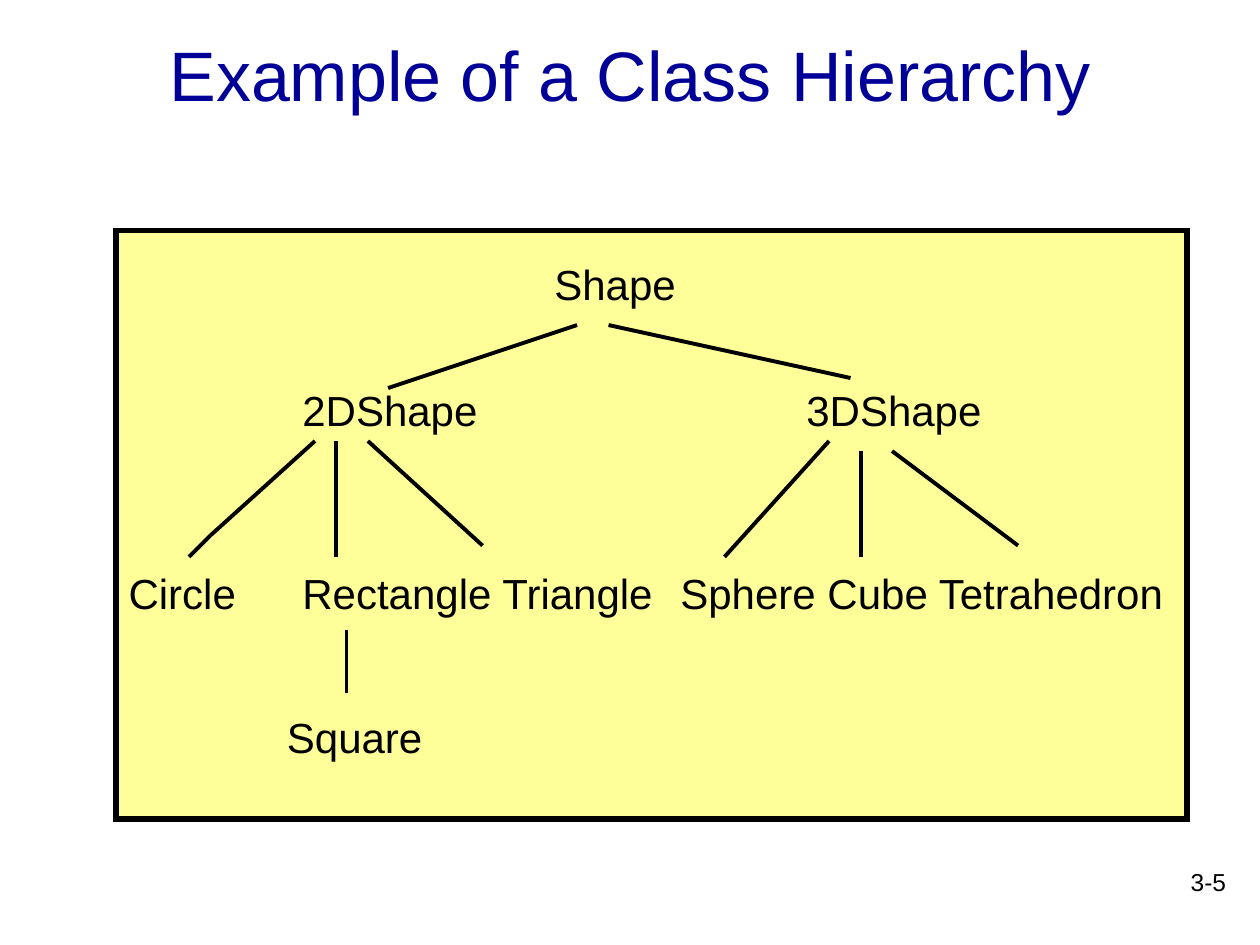
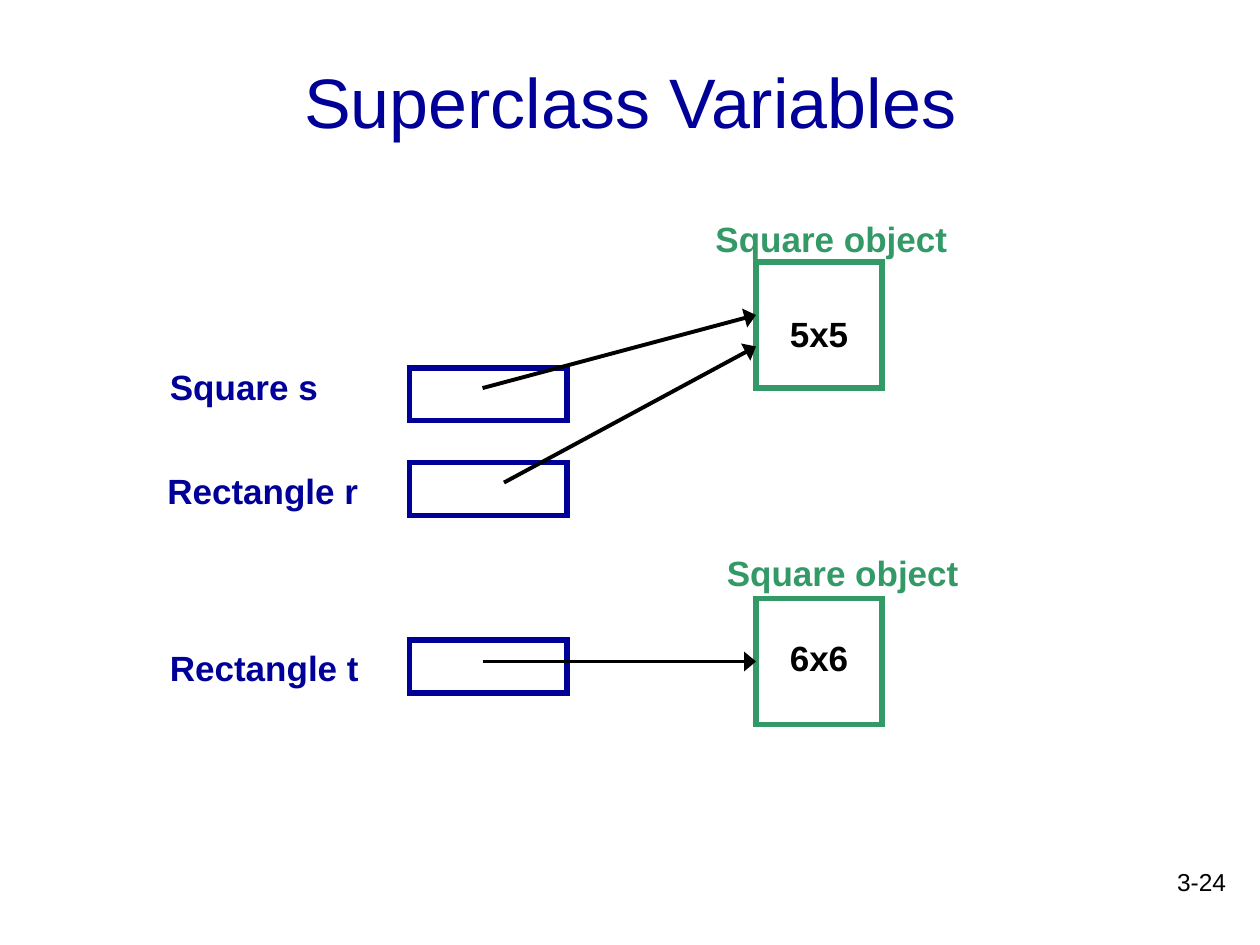
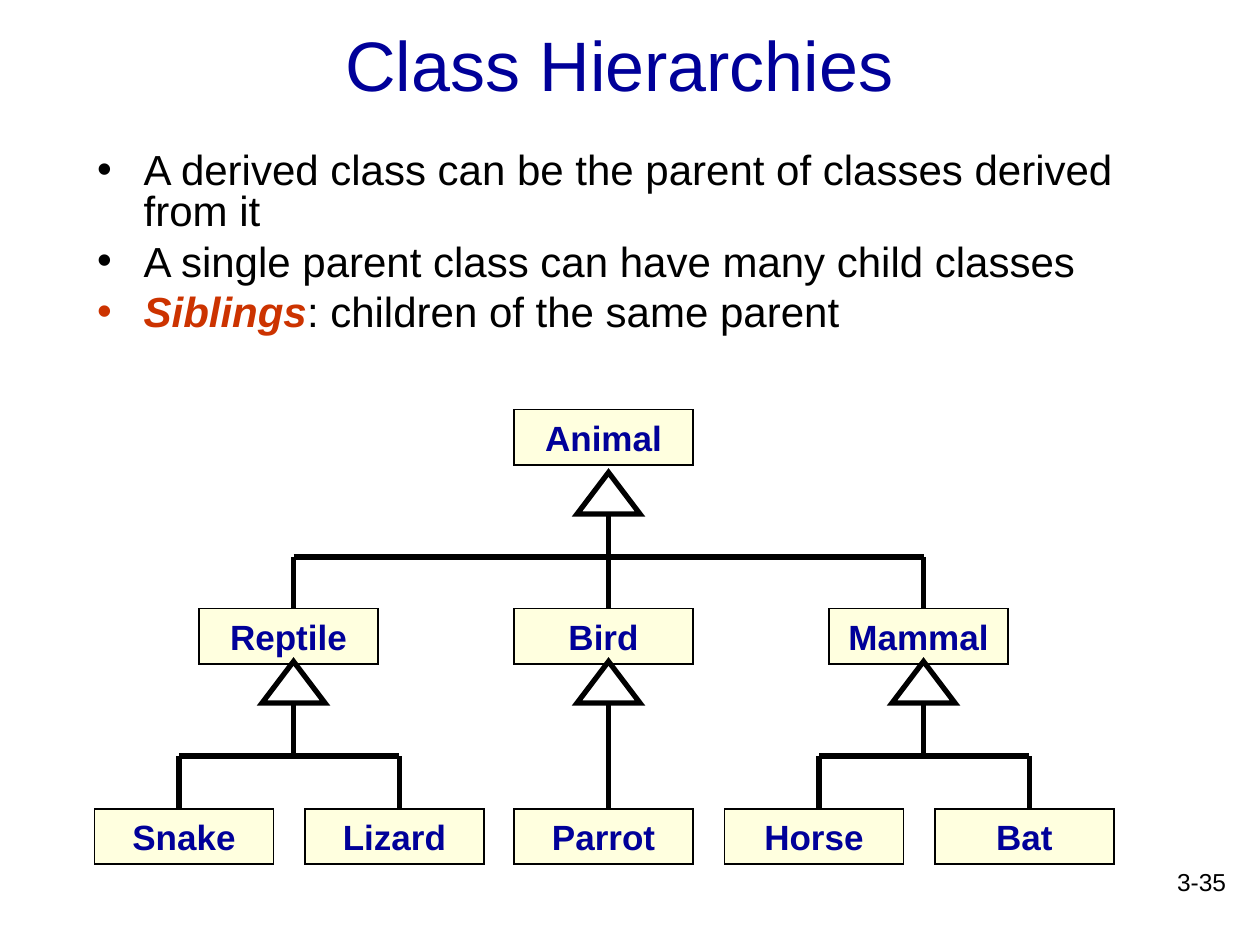
from lxml import etree
from pptx import Presentation
from pptx.dml.color import RGBColor
from pptx.enum import shapes, text
from pptx.oxml.ns import qn
from pptx.util import Inches, Pt

FONT = "Arial"
BLACK = RGBColor(0x00, 0x00, 0x00)
NAVY = RGBColor(0x00, 0x00, 0x99)
GREEN = RGBColor(0x33, 0x99, 0x66)
RED = RGBColor(0xCC, 0x33, 0x00)
YELLOW = RGBColor(0xFF, 0xFF, 0x99)
CREAM = RGBColor(0xFF, 0xFF, 0xDF)
LEFT, CENTER, RIGHT = text.PP_ALIGN.LEFT, text.PP_ALIGN.CENTER, text.PP_ALIGN.RIGHT
RECTANGLE = shapes.MSO_SHAPE.RECTANGLE
TRIANGLE = shapes.MSO_SHAPE.ISOSCELES_TRIANGLE
CONTENT_LAYOUT, TITLE_LAYOUT = 1, 5

# Tree rows: (space before in points, left indent, first-line indent, words);
# tabs step through the half-inch grid that starts at the left indent
SHAPE_ROWS = [
    (0, 3.38, 0, "Shape"),
    (43.3, 1.38, 0, "2DShape\t\t\t\t\t\t3DShape"),
    (75.9, 1.38, -1.38, "Circle\tRectangle Triangle\tSphere Cube Tetrahedron"),
]
SHAPE_BRANCHES = [
    [(4.58, 2.58), (3.08, 3.08)],
    [(4.83, 2.58), (6.75, 3)],
    [(2.5, 3.5), (1.67, 4.25), (1.5, 4.42)],
    [(2.67, 3.5), (2.67, 4.42)],
    [(2.92, 3.5), (3.83, 4.33)],
    [(6.58, 3.5), (5.75, 4.42)],
    [(6.83, 3.58), (6.83, 4.42)],
    [(7.08, 3.58), (8.08, 4.33)],
    [(2.75, 5), (2.75, 5.5)],
]

# Variables: (name, label left and top, cell top)
VARIABLES = [
    ("Square s", 1.25, 2.85, 2.92),
    ("Rectangle r", 1.23, 3.68, 3.67),
    ("Rectangle t", 1.25, 5.08, 5.08),
]
# Objects: (value, square top, value top, caption left and top)
OBJECTS = [
    ("5x5", 2.08, 2.43, 5.58, 1.68),
    ("6x6", 4.75, 5, 5.67, 4.33),
]
SHARED_REFERENCES = [((3.83, 3.08), (6, 2.5)), ((4, 3.83), (6, 2.75))]

BULLETS = [
    [("A derived class can be the parent of classes derived from it", {})],
    [("A single parent class can have many child classes", {})],
    [("Siblings", dict(color=RED, bold=True, italic=True)),
     (": children of the same parent", {})],
]
BULLET_INDENT = 0.37
# Animal levels: (box top, [(name, box left)])
ANIMAL_LEVELS = [
    (3.25, [("Animal", 4.08)]),
    (4.83, [("Reptile", 1.58), ("Bird", 4.08), ("Mammal", 6.58)]),
    (6.42, [("Snake", 0.75), ("Lizard", 2.42), ("Parrot", 4.08),
            ("Horse", 5.75), ("Bat", 7.42)]),
]
# Families: (trunk x, triangle top, bar y, child top, child xs)
FAMILIES = [
    (4.83, 3.75, 4.42, 4.83, [2.33, 4.83, 7.33]),
    (2.33, 5.25, 6, 6.42, [1.42, 3.17]),
    (4.83, 5.25, 6, 6.42, [4.83]),
    (7.33, 5.25, 6, 6.42, [6.5, 8.17]),
]
TRIANGLE_SIZE = (0.5, 0.33)


def add_span(para, words, size=24, color=BLACK, bold=False, italic=False):
    span = para.add_run()
    span.text = words
    span.font.name, span.font.size = FONT, Pt(size)
    span.font.bold, span.font.italic = bold, italic
    span.font.color.rgb = color


def write(shape, words, align=LEFT, **style):
    para = shape.text_frame.paragraphs[0]
    para.alignment = align
    add_span(para, words, **style)


def place(shape, left, top, width, height):
    shape.left, shape.top = Inches(left), Inches(top)
    shape.width, shape.height = Inches(width), Inches(height)


def add_label(page, words, left, top, width, height=0.44, **style):
    box = page.shapes.add_textbox(*map(Inches, (left, top, width, height)))
    box.text_frame.word_wrap = True
    write(box, words, **style)


def add_outline(page, kind, left, top, width, height, color, weight=3, fill=None):
    shape = page.shapes.add_shape(kind, *map(Inches, (left, top, width, height)))
    shape.shadow.inherit = False
    set_surface(shape, color, weight, fill)
    return shape


def set_surface(shape, color, weight, fill=None):
    """Set the fill and a sharp-cornered outline."""
    if fill is None:
        shape.fill.background()
    else:
        shape.fill.solid()
        shape.fill.fore_color.rgb = fill
    shape.line.color.rgb = color
    shape.line.width = Pt(weight)
    etree.SubElement(shape.line._get_or_add_ln(), qn("a:miter"), lim="800000")


def add_line(page, start, end, weight=2.25, arrow=False):
    line = page.shapes.add_connector(
        shapes.MSO_CONNECTOR.STRAIGHT, *map(Inches, (*start, *end)))
    line.line.color.rgb = BLACK
    line.line.width = Pt(weight)
    if arrow:
        etree.SubElement(line.line._get_or_add_ln(), qn("a:tailEnd"),
                         type="triangle", w="lg", len="med")
    etree.SubElement(line._element.spPr, qn("a:effectLst"))
    return line


def set_indent(para, left, first_line):
    props = para._p.get_or_add_pPr()
    props.set("marL", str(Inches(left)))
    props.set("indent", str(Inches(first_line)))
    return props


def set_bullet(para, color):
    props = set_indent(para, BULLET_INDENT, -BULLET_INDENT)
    tint = etree.SubElement(props, qn("a:buClr"))
    etree.SubElement(tint, qn("a:srgbClr"), val=str(color))
    etree.SubElement(props, qn("a:buFont"), typeface=FONT)
    etree.SubElement(props, qn("a:buChar"), char="•")


def add_page(deck, layout, title, number, height, width=8.5):
    page = deck.slides.add_slide(deck.slide_layouts[layout])
    heading = page.shapes.title
    place(heading, 0.75, 0.17, width, height)
    heading.text_frame.auto_size = text.MSO_AUTO_SIZE.NONE
    heading.text_frame.vertical_anchor = text.MSO_ANCHOR.MIDDLE
    write(heading, title, align=CENTER, size=40, color=NAVY)
    add_label(page, number, 7.75, 6.83, 2.08, 0.5, align=RIGHT, size=14)
    return page


def body_paragraphs(body, count):
    frame = body.text_frame
    frame.auto_size = text.MSO_AUTO_SIZE.NONE
    return [frame.paragraphs[0]] + [frame.add_paragraph() for _ in range(count - 1)]


def build_shape_tree(deck):
    page = add_page(deck, CONTENT_LAYOUT, "Example of a Class Hierarchy", "3-5", 0.83)
    panel = page.placeholders[1]
    place(panel, 0.92, 1.83, 8.5, 4.67)
    set_surface(panel, BLACK, 3, YELLOW)
    panel.text_frame.margin_top = Inches(0.22)
    paras = body_paragraphs(panel, len(SHAPE_ROWS))
    for para, (gap, left, first_line, words) in zip(paras, SHAPE_ROWS):
        para.space_before = Pt(gap)
        etree.SubElement(set_indent(para, left, first_line), qn("a:buNone"))
        add_span(para, words)
    for points in SHAPE_BRANCHES:
        for start, end in zip(points, points[1:]):
            add_line(page, start, end)
    add_label(page, "Square", 1.75, 5.6, 2.13, 0.5, align=CENTER, size=24)


def build_variables(deck):
    page = add_page(deck, TITLE_LAYOUT, "Superclass Variables", "3-24", 1.25)
    bold = dict(size=20, bold=True)
    for name, left, top, cell_top in VARIABLES:
        add_outline(page, RECTANGLE, 3.25, cell_top, 1.25, 0.42, NAVY)
        add_label(page, name, left, top, 2, color=NAVY, **bold)
    for value, top, value_top, caption_left, caption_top in OBJECTS:
        square = add_outline(page, RECTANGLE, 6, top, 1, 1, GREEN)
        add_label(page, value, 6.17, value_top, 0.9, **bold)
        add_label(page, "Square object", caption_left, caption_top, 2.6,
                  color=GREEN, **bold)
    for start, end in SHARED_REFERENCES:
        add_line(page, start, end, arrow=True)
    add_line(page, (3.83, 5.25), (6, 5.25), arrow=True).end_connect(square, 1)


def build_animal_tree(deck):
    page = add_page(deck, CONTENT_LAYOUT, "Class Hierarchies", "3-35", 0.67, width=8.33)
    body = page.placeholders[1]
    place(body, 0.67, 1.17, 8.42, 1.58)
    for para, spans in zip(body_paragraphs(body, len(BULLETS)), BULLETS):
        para.line_spacing = 0.8
        para.space_before = Pt(6)
        set_bullet(para, spans[0][1].get("color", BLACK))
        for words, style in spans:
            add_span(para, words, **style)
    for top, animals in ANIMAL_LEVELS:
        for name, left in animals:
            box = add_outline(page, RECTANGLE, left, top, 1.42, 0.44, BLACK, 1, CREAM)
            write(box, name, align=CENTER, size=20, color=NAVY, bold=True)
    width, height = TRIANGLE_SIZE
    for trunk, top, bar, child_top, children in FAMILIES:
        add_outline(page, TRIANGLE, trunk - width / 2, top, width, height, BLACK)
        add_line(page, (trunk, top + height), (trunk, bar), weight=3)
        if len(children) > 1:
            add_line(page, (children[0], bar), (children[-1], bar), weight=3)
        for child in children:
            add_line(page, (child, bar), (child, child_top), weight=3)


def main():
    deck = Presentation()
    deck.slide_width, deck.slide_height = Inches(10), Inches(7.5)
    build_shape_tree(deck)
    build_variables(deck)
    build_animal_tree(deck)
    deck.save("out.pptx")


if __name__ == "__main__":
    main()
